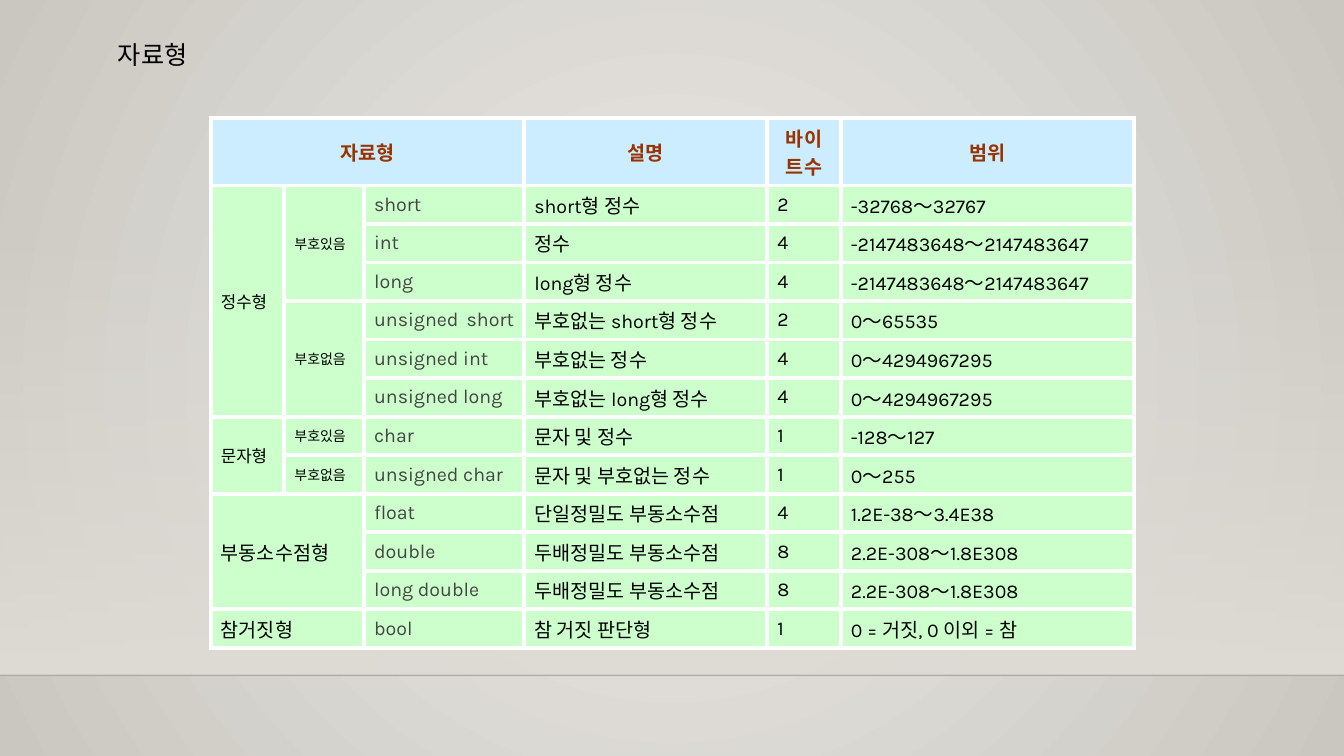
from lxml.etree import SubElement
from pptx import Presentation
from pptx.dml.color import RGBColor
from pptx.enum.shapes import MSO_CONNECTOR as CONN, MSO_SHAPE as SHAPE
from pptx.enum.text import MSO_ANCHOR as ANCHOR, MSO_AUTO_SIZE as AUTO, PP_ALIGN as ALIGN
from pptx.oxml import parse_xml
from pptx.oxml.ns import nsdecls, qn
from pptx.util import Inches, Pt

COLS = [0.73, 0.79, 1.59, 2.41, 0.73, 2.91]
HEAD_H, BODY_H = 0.67, 4.59
HEADINGS = {0: "자료형", 3: "설명", 4: "바이트수", 5: "범위"}
TYPES = [
    ("short", "short형 정수", "2", "-32768～32767"),
    ("int", "정수", "4", "-2147483648～2147483647"),
    ("long", "long형 정수", "4", "-2147483648～2147483647"),
    ("unsigned short ", "부호없는 short형 정수 ", "2", "0～65535"),
    ("unsigned int", "부호없는 정수", "4", "0～4294967295"),
    ("unsigned long", "부호없는 long형 정수", "4", "0～4294967295"),
    ("char", "문자 및 정수", "1", "-128～127"),
    ("unsigned char", "문자 및 부호없는 정수", "1", "0～255"),
    ("float", "단일정밀도 부동소수점", "4", "1.2E-38～3.4E38"),
    ("double", "두배정밀도 부동소수점", "8", "2.2E-308～1.8E308"),
    ("long double", "두배정밀도 부동소수점", "8", "2.2E-308～1.8E308"),
    ("bool", "참 거짓 판단형", "1", "0 = 거짓, 0 이외 = 참"),
]
GROUPS = [
    (1, 0, 6, 1, "정수형", 12),
    (1, 1, 3, 1, "부호있음", 10),
    (4, 1, 3, 1, "부호없음", 10),
    (7, 0, 2, 1, "문자형", 12),
    (7, 1, 1, 1, "부호있음", 10),
    (8, 1, 1, 1, "부호없음", 10),
    (9, 0, 3, 2, "부동소수점형", 14),
    (12, 0, 1, 2, "참거짓형", 14),
]
HEAD_FONT = {"name": "Karla", "size": Pt(14), "bold": True}
BODY_FONT = {"name": "Karla", "size": Pt(14), "bold": False}


def rgb(color):
    """Turn a hex string into a colour."""
    return RGBColor.from_string(color)


def set_attrs(obj, values):
    """Set each named attribute on an object."""
    for name, value in values.items():
        setattr(obj, name, value)


def write(p, text, font, color, align):
    """Put one formatted run in a paragraph."""
    p.alignment = align
    r = p.add_run()
    r.text = text
    set_attrs(r.font, font)
    r.font.color.rgb = rgb(color)


def set_gradient(fill, start, end):
    """Give a fill a two-colour gradient."""
    fill.gradient()
    for stop, color in zip(fill.gradient_stops, (start, end)):
        stop.color.rgb = rgb(color)


def set_alpha(element, percent):
    """Set the opacity of the first colour in an element."""
    color = element.xpath(".//a:srgbClr")[0]
    SubElement(color, qn("a:alpha")).set("val", str(percent * 1000))


def add_backdrop(s):
    """Fill the background with a radial gradient."""
    set_gradient(s.background.fill, "ECEAE7", "CAC7C1")
    grad = s.element.xpath(".//p:bg//a:gradFill")[0]
    for lin in grad.xpath("./a:lin"):
        grad.remove(lin)
    radial = SubElement(grad, qn("a:path"))
    radial.set("path", "circle")
    center = SubElement(radial, qn("a:fillToRect"))
    for side in "ltrb":
        center.set(side, "50000")


def add_floor(s, x, y, w, h):
    """Draw the fading band and the line along its lower edge."""
    sp = s.shapes.add_shape(SHAPE.RECTANGLE, Inches(x), Inches(y), Inches(w), Inches(h))
    sp.shadow.inherit = False
    sp.line.fill.background()
    set_gradient(sp.fill, "DFDBD5", "DFDBD5")
    sp.fill.gradient_angle = 270
    set_alpha(sp.element.spPr, 0)
    edge = Inches(y + h)
    line = s.shapes.add_connector(CONN.STRAIGHT, Inches(x), edge, Inches(x + w), edge)
    line.line.width = Pt(1)
    line.line.color.rgb = rgb("000001")
    set_alpha(line.element.spPr, 20)
    SubElement(line.element.spPr, qn("a:effectLst"))


def add_title(s, x, y, w, h):
    """Place the slide title."""
    sp = s.shapes.title
    set_attrs(sp, {"left": Inches(x), "top": Inches(y), "width": Inches(w), "height": Inches(h)})
    tf = sp.text_frame
    set_attrs(tf, {"word_wrap": False, "auto_size": AUTO.SHAPE_TO_FIT_TEXT,
                   "vertical_anchor": ANCHOR.TOP})
    write(tf.paragraphs[0], "자료형", {"name": "Cabin", "size": Pt(18)}, "000000", ALIGN.LEFT)


def style_cell(cell, color):
    """Fill a cell and draw its white borders."""
    cell.vertical_anchor = ANCHOR.MIDDLE
    cell.fill.solid()
    cell.fill.fore_color.rgb = rgb(color)
    tc_pr = cell._tc.get_or_add_tcPr()
    for i, side in enumerate("LRTB"):
        tc_pr.insert(i, parse_xml(
            f'<a:ln{side} {nsdecls("a")} w="{Pt(3)}"><a:solidFill>'
            f'<a:srgbClr val="FFFFFF"/></a:solidFill></a:ln{side}>'))


def add_type_table(s, x, y):
    """Build the table of data types."""
    rows = len(TYPES) + 1
    table = s.shapes.add_table(rows, len(COLS), Inches(x), Inches(y),
                               Inches(sum(COLS)), Inches(HEAD_H + BODY_H)).table
    set_attrs(table, {"first_row": False, "horz_banding": False})
    for col, width in zip(table.columns, COLS):
        col.width = Inches(width)
    for i, row in enumerate(table.rows):
        row.height = Inches(BODY_H / len(TYPES) if i else HEAD_H)
        for cell in row.cells:
            style_cell(cell, "CCFFCC" if i else "CCECFF")

    def put(row, col, text, font, color, align=ALIGN.JUSTIFY):
        """Write the text of one cell."""
        write(table.cell(row, col).text_frame.paragraphs[0], text, font, color, align)

    table.cell(0, 0).merge(table.cell(0, 2))
    for col, text in HEADINGS.items():
        put(0, col, text, HEAD_FONT, "993300", ALIGN.CENTER)
    for row, col, down, across, text, size in GROUPS:
        if down * across > 1:
            table.cell(row, col).merge(table.cell(row + down - 1, col + across - 1))
        put(row, col, text, {**BODY_FONT, "size": Pt(size)}, "000000")
    for row, values in enumerate(TYPES, 1):
        for col, text in enumerate(values, 2):
            put(row, col, text, BODY_FONT, "454545" if col == 2 else "000000")


def main():
    """Build and save the slide."""
    prs = Presentation()
    set_attrs(prs, {"slide_width": Inches(13.33), "slide_height": Inches(7.5)})
    s = prs.slides.add_slide(prs.slide_layouts[5])
    add_backdrop(s)
    add_floor(s, 0, 2.21, 13.33, 4.49)
    add_type_table(s, 2.09, 1.17)
    add_title(s, 1.07, 0.34, 0.96, 0.4)
    prs.save("out.pptx")


if __name__ == "__main__":
    main()
